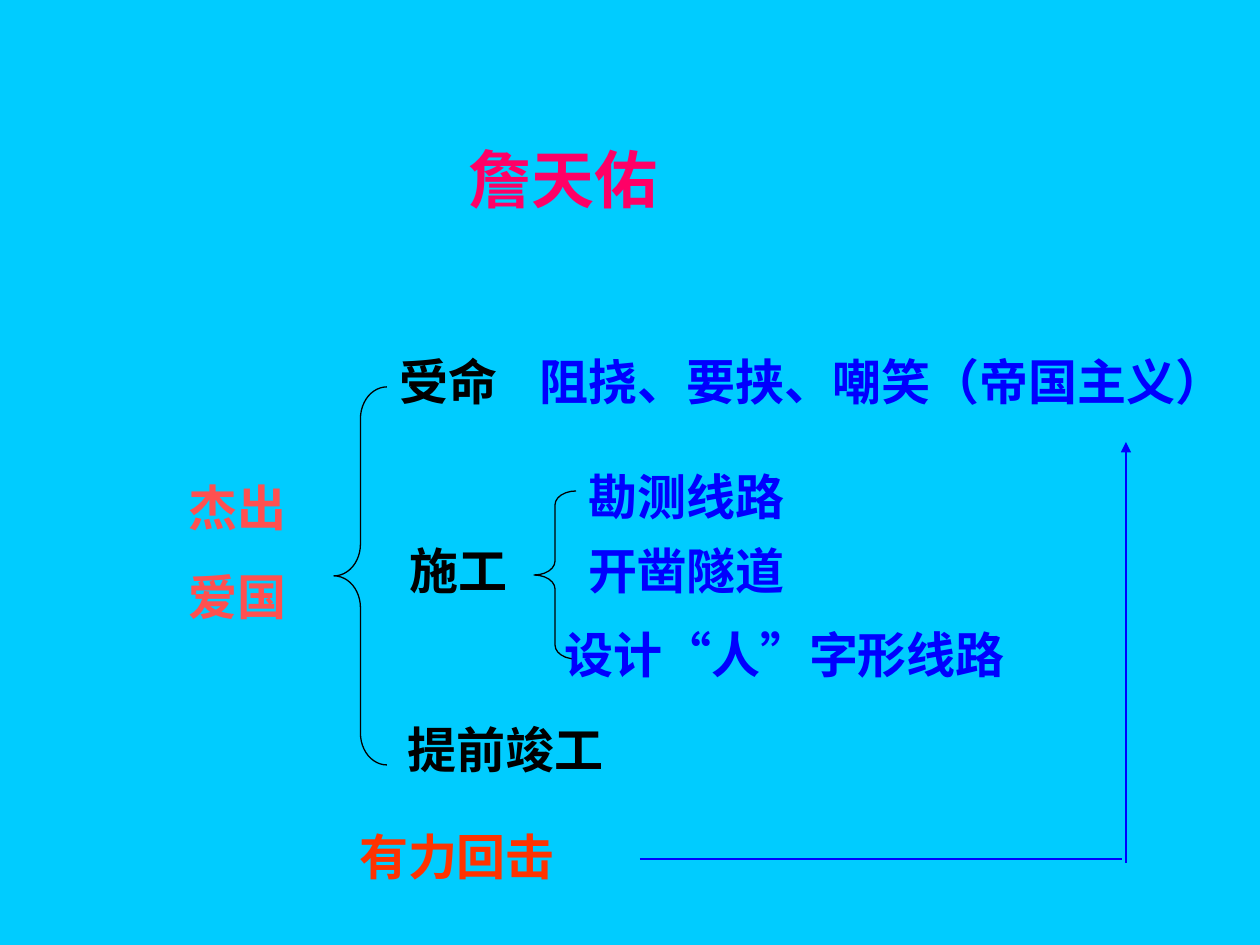
from dataclasses import dataclass

from lxml.etree import SubElement
from pptx import Presentation
from pptx.dml.color import RGBColor
from pptx.enum.shapes import MSO_CONNECTOR as Connector, MSO_SHAPE as Shape
from pptx.enum.text import MSO_AUTO_SIZE as AutoSize, PP_ALIGN as Align
from pptx.oxml.ns import qn
from pptx.util import Emu, Pt


@dataclass(frozen=True)
class Theme:
    """Colours, fonts and sizes of the slide."""
    background: str = "00CCFF"
    title: str = "FF0066"
    trait: str = "FF5050"
    stage: str = "000000"
    detail: str = "0000FF"
    rebuttal: str = "FF3300"
    serif: str = "Times New Roman"
    sans: str = "Arial"
    title_size: float = 36
    body_size: float = 28
    paragraph_gap: float = 17.5
    line_width: float = 0.75


THEME = Theme()
ROW_HEIGHT = 72


def px(length):
    """Turn pixels into EMU."""
    return Emu(round(length * 914400 / 126))


def color(value):
    """Turn a hex string into a colour."""
    return RGBColor.from_string(value)


def add_label(page, box, lines, ink, size=THEME.body_size, font=THEME.serif,
              align=Align.LEFT):
    """Add a bold text box with one paragraph per line."""
    label = page.shapes.add_textbox(*map(px, box))
    frame = label.text_frame
    frame.word_wrap = True
    frame.auto_size = AutoSize.SHAPE_TO_FIT_TEXT
    frame.text = "\n".join(lines)
    for index, para in enumerate(frame.paragraphs):
        para.alignment = align
        para.space_before = Pt(THEME.paragraph_gap if index else 0)
        para.font.size = Pt(size)
        para.font.name = font
        para.font.bold = True
        para.font.color.rgb = color(ink)


def add_brace(page, box, curve):
    """Add a left brace with the given curve ratio."""
    brace = page.shapes.add_shape(Shape.LEFT_BRACE, *map(px, box))
    brace.shadow.inherit = False
    brace.fill.background()
    brace.line.color.rgb = color(THEME.stage)
    brace.line.width = Pt(THEME.line_width)
    brace.adjustments[0] = curve


def add_line(page, start, end, arrow=False):
    """Add a straight line, with an arrowhead at its end if asked."""
    line = page.shapes.add_connector(Connector.STRAIGHT, *map(px, start + end))
    line.line.color.rgb = color(THEME.detail)
    line.line.width = Pt(THEME.line_width)
    outline = line.get_or_add_ln()
    if arrow:
        SubElement(outline, qn("a:tailEnd"), type="triangle")
    SubElement(outline.getparent(), qn("a:effectLst"))


def add_stages(page, box):
    """Add the main brace, its three stages and the obstacles."""
    left, top, width, height = box
    add_brace(page, (left, top + 42, 53, height - 62), 0.6)
    stages = [("受命", 53, 0, 130), ("施工", 63, 189, 149), ("提前竣工", 61, 368, 230)]
    for text, x, y, label_width in stages:
        add_label(page, (left + x, top + y, label_width, ROW_HEIGHT), [text],
                  THEME.stage)
    add_label(page, (left + 193, top, width - 193, ROW_HEIGHT),
              ["阻挠、要挟、嘲笑（帝国主义）"], THEME.detail)


def add_works(page, box):
    """Add the inner brace and the three construction works."""
    left, top, width, height = box
    add_brace(page, (left, top + 31, 42, height - 62), 0.33)
    works = [("勘测线路", 42, 0, 230), ("开凿隧道", 42, 74, 230),
             ("设计“人”字形线路", 18, 158, width - 18)]
    for text, x, y, label_width in works:
        add_label(page, (left + x, top + y, label_width, ROW_HEIGHT), [text],
                  THEME.detail)


def add_rebuttal(page, box):
    """Add the rebuttal and the arrow rising from it to the obstacles."""
    left, top, width, height = box
    right, bottom = left + width, top + height
    add_label(page, (left, bottom - 43, 232, ROW_HEIGHT), ["有力回击"],
              THEME.rebuttal, font=THEME.sans, align=Align.CENTER)
    add_line(page, (left + 299, bottom - 4), (right - 4, bottom - 4))
    add_line(page, (right, bottom), (right, top), arrow=True)


def main():
    """Build the slide and save it."""
    deck = Presentation()
    deck.slide_width, deck.slide_height = px(1260), px(945)
    page = deck.slides.add_slide(deck.slide_layouts[6])
    page.background.fill.solid()
    page.background.fill.fore_color.rgb = color(THEME.background)
    add_label(page, (456, 134, 222, 88), ["詹天佑"], THEME.title, THEME.title_size)
    add_label(page, (176, 471, 179, 161), ["杰出", "爱国"], THEME.trait)
    add_stages(page, (334, 345, 916, 440))
    add_works(page, (534, 460, 500, 230))
    add_rebuttal(page, (341, 442, 785, 421))
    deck.save("out.pptx")


if __name__ == "__main__":
    main()
